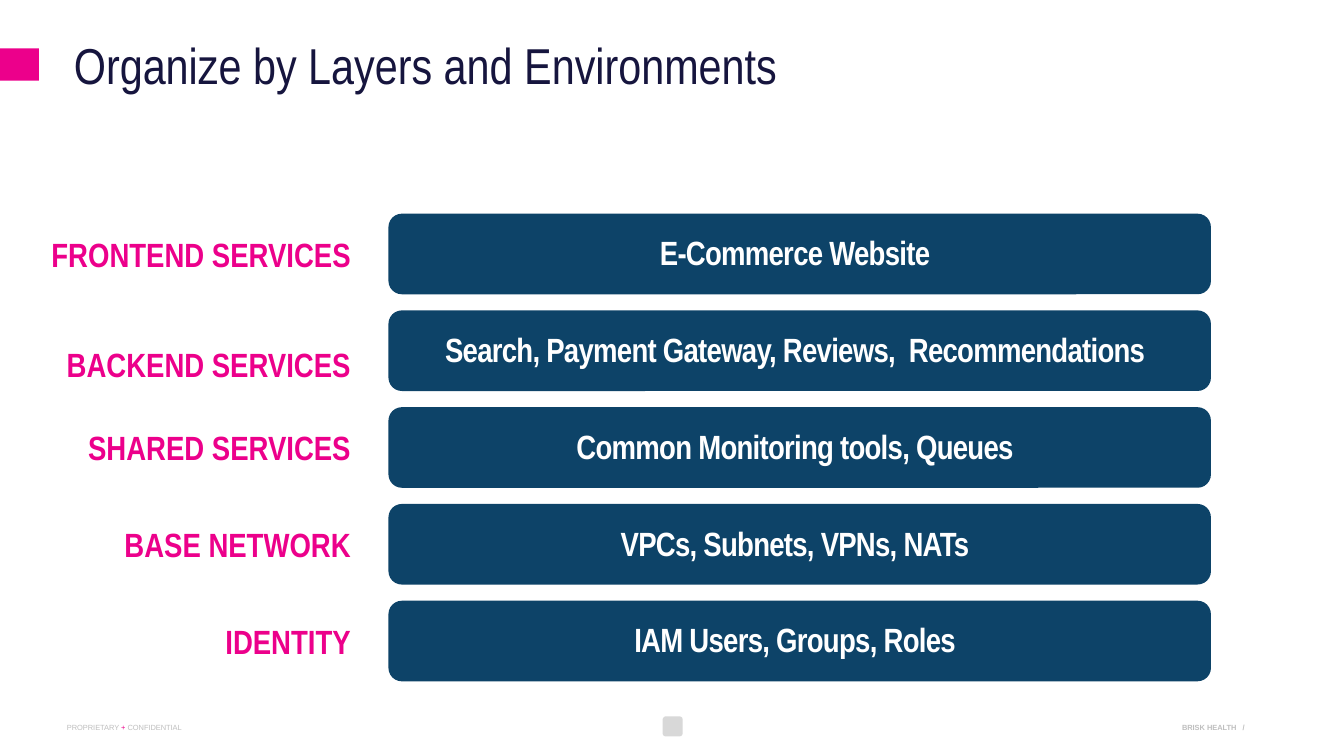
from pptx import Presentation
from pptx.dml.color import RGBColor
from pptx.enum.shapes import MSO_SHAPE
from pptx.enum.text import MSO_ANCHOR, MSO_AUTO_SIZE, PP_ALIGN
from pptx.util import Inches, Pt

RECT = MSO_SHAPE.RECTANGLE
ROUND = MSO_SHAPE.ROUNDED_RECTANGLE
LEFT, MID, RIGHT = PP_ALIGN.LEFT, PP_ALIGN.CENTER, PP_ALIGN.RIGHT
TOP = MSO_ANCHOR.TOP
NO_FIT = MSO_AUTO_SIZE.NONE

PINK = RGBColor(0xEC, 0x00, 0x8B)
NAVY = RGBColor(0x16, 0x15, 0x3E)
BLUE = RGBColor(0x0D, 0x43, 0x68)
WHITE = RGBColor(0xFF, 0xFF, 0xFF)
GREY = RGBColor(0xBF, 0xBF, 0xBF)
PALE = RGBColor(0xD8, 0xD8, 0xD8)

SANS, SLIM = "Arial", "Arial Narrow"

# Layer name, contents, drop of the name below the bar top
LAYERS = [
    ("FRONTEND SERVICES", "E-Commerce Website", 0.1),
    ("BACKEND SERVICES", "Search, Payment Gateway, Reviews,  Recommendations", 0.2),
    ("SHARED SERVICES", "Common Monitoring tools, Queues", 0.1),
    ("BASE NETWORK", "VPCs, Subnets, VPNs, NATs", 0.1),
    ("IDENTITY", "IAM Users, Groups, Roles", 0.1),
]


def add_run(para, text, size, font, color, bold=False):
    run = para.add_run()
    run.text = text
    run.font.size = Pt(size)
    run.font.name = font
    run.font.bold = bold
    run.font.color.rgb = color
    return run


def set_frame(frame, pad):
    frame.word_wrap = True
    frame.auto_size = NO_FIT
    frame.vertical_anchor = TOP
    (frame.margin_left, frame.margin_top,
     frame.margin_right, frame.margin_bottom) = [Inches(p) for p in pad]


def add_box(slide, x, y, w, h, align, pad=(0.1, 0.05, 0.1, 0.05)):
    """Add a text box and return its first paragraph."""
    box = slide.shapes.add_textbox(Inches(x), Inches(y), Inches(w), Inches(h))
    set_frame(box.text_frame, pad)
    para = box.text_frame.paragraphs[0]
    para.alignment = align
    return para


def add_block(slide, kind, x, y, w, h, color):
    block = slide.shapes.add_shape(kind, Inches(x), Inches(y), Inches(w), Inches(h))
    block.shadow.inherit = False
    block.fill.solid()
    block.fill.fore_color.rgb = color
    block.line.fill.background()


def add_head(slide, x, y, w, h):
    # Pink tab at the slide edge
    add_block(slide, RECT, 0, y + 0.09, 0.29, 0.24, PINK)
    # Title
    title = slide.shapes.title
    title.left, title.top = Inches(x), Inches(y)
    title.width, title.height = Inches(w), Inches(h)
    set_frame(title.text_frame, (0.07,) * 4)
    para = title.text_frame.paragraphs[0]
    para.alignment = LEFT
    para.line_spacing = 0.8
    add_run(para, "Organize by Layers and Environments", 27, SLIM, NAVY)


def add_layer(slide, x, y, w, h, name, items, drop):
    # Name to the left of the bar
    para = add_box(slide, x, y + drop, 2.56, 0.4, RIGHT)
    add_run(para, name, 18, SLIM, PINK, True)
    # Bar and its contents
    add_block(slide, ROUND, x + 2.74, y, w - 2.74, h, BLUE)
    para = add_box(slide, x + 2.67, y + 0.09, w - 2.67, 0.4, MID)
    run = add_run(para, items, 18, SLIM, WHITE, True)
    run.font._element.set("spc", "-40")


def add_stack(slide, x, y, w, h):
    bar = 0.6
    step = (h - bar) / (len(LAYERS) - 1)
    for i, layer in enumerate(LAYERS):
        add_layer(slide, x, y + i * step, w, bar, *layer)


def add_foot(slide, x, y, w, h):
    # Notice on the left
    para = add_box(slide, x, y, 1.09, h, LEFT, (0.1, 0, 0, 0))
    for text, color in [("PROPRIETARY ", GREY), ("+", PINK), (" CONFIDENTIAL", GREY)]:
        add_run(para, text, 4, SANS, color)
    # Plain mark in the middle
    add_block(slide, ROUND, 4.93, y - 0.05, 0.15, 0.15, PALE)
    # Owner on the right
    para = add_box(slide, x + w - 1.14, y, 1.14, h, RIGHT, (0.1, 0, 0.1, 0))
    add_run(para, "BRISK HEALTH   /", 4, SANS, GREY, True)


def main():
    deck = Presentation()
    # Wide 16:9 page
    deck.slide_width = Inches(10)
    deck.slide_height = deck.slide_width * 9 // 16
    slide = deck.slides.add_slide(deck.slide_layouts[5])
    add_foot(slide, 0.4, 5.38, 8.96, 0.08)
    add_head(slide, 0.48, 0.27, 9, 0.38)
    add_stack(slide, 0.15, 1.59, 8.86, 3.48)
    deck.save("out.pptx")


if __name__ == "__main__":
    main()
